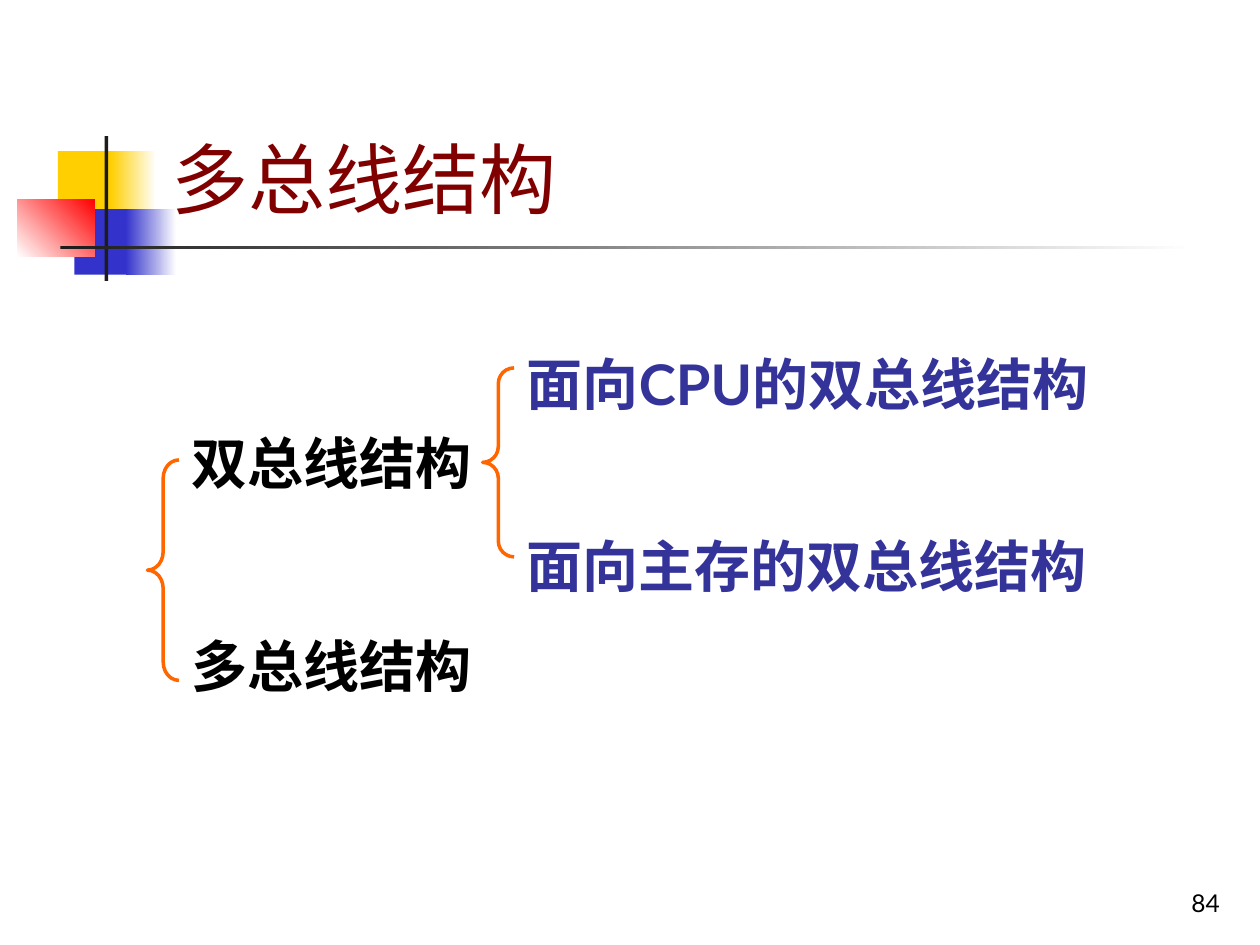
from lxml import etree
from pptx import Presentation
from pptx.dml.color import RGBColor
from pptx.enum.shapes import MSO_SHAPE
from pptx.enum.text import MSO_ANCHOR, MSO_AUTO_SIZE, PP_ALIGN
from pptx.oxml.ns import qn
from pptx.util import Inches, Pt

RECT, BRACE = MSO_SHAPE.RECTANGLE, MSO_SHAPE.LEFT_BRACE
TOP, BOTTOM = MSO_ANCHOR.TOP, MSO_ANCHOR.BOTTOM
LEFT, RIGHT = PP_ALIGN.LEFT, PP_ALIGN.RIGHT
NO_FIT = MSO_AUTO_SIZE.NONE

HEX = {
    "gold": "FFCF01", "blue": "3333CC", "red": "FF0000", "dark": "1C1C1C",
    "white": "FFFFFF", "maroon": "800000", "navy": "333399",
    "black": "000000", "orange": "FF6600",
}

TITLE = "多总线结构"
KINDS = ["双总线结构", "多总线结构"]
DUALS = ["面向CPU的双总线结构", "面向主存的双总线结构"]
PAGE = "84"

# place, colours (two make a gradient), gradient angle
DECOR = [
    ((0.46, 1.2, 0.48, 0.52), ["gold"], 0),
    ((0.88, 1.2, 0.36, 0.52), ["gold", "white"], 0),
    ((0.59, 1.66, 0.46, 0.52), ["blue"], 0),
    ((1, 1.66, 0.4, 0.52), ["blue", "white"], 0),
    ((0.14, 1.58, 0.61, 0.46), ["white", "red"], 45),
    ((0.83, 1.08, 0.03, 1.15), ["dark"], 0),
    ((0.48, 1.95, 9, 0.03), ["dark", "white"], 0),
]
# place, curl of the brace ends
BRACES = [((1.17, 3.65, 0.25, 1.75), 0.58), ((3.83, 2.92, 0.25, 1.5), 0.5)]


def color(name):
    return RGBColor.from_string(HEX[name])


def inches(place):
    return [Inches(n) for n in place]


def add_block(slide, place, names, angle):
    block = slide.shapes.add_shape(RECT, *inches(place))
    block.shadow.inherit = False
    block.line.fill.background()
    fill = block.fill
    if len(names) == 1:
        fill.solid()
        fill.fore_color.rgb = color(names[0])
        return
    fill.gradient()
    fill.gradient_angle = angle
    for stop, name in zip(fill.gradient_stops, names):
        stop.color.rgb = color(name)


def add_brace(slide, place, curl):
    brace = slide.shapes.add_shape(BRACE, *inches(place))
    brace.shadow.inherit = False
    brace.fill.background()
    brace.line.color.rgb = color("orange")
    brace.line.width = Pt(2)
    brace.adjustments[0] = curl


def write(box, place, lines, font, size, tint, bold=False, gap=0,
          align=LEFT, anchor=TOP, space=1.0):
    """Place a text shape and fill it, with gap points between its lines."""
    box.left, box.top, box.width, box.height = inches(place)
    frame = box.text_frame
    frame.text = "\n".join(lines)
    frame.word_wrap = True
    frame.auto_size = NO_FIT
    frame.vertical_anchor = anchor
    for i, para in enumerate(frame.paragraphs):
        props = para._p.get_or_add_pPr()
        props.set("marL", "0")
        props.set("indent", "0")
        etree.SubElement(props, qn("a:buNone"))
        para.alignment = align
        para.line_spacing = space
        para.space_before = Pt(gap if i else 0)
        for run in para.runs:
            run.font.name = font
            run.font.size = Pt(size)
            run.font.bold = bold
            run.font.color.rgb = color(tint)


def main():
    deck = Presentation()
    deck.slide_width, deck.slide_height = Inches(10), Inches(7.5)
    slide = deck.slides.add_slide(deck.slide_layouts[1])
    title, body = slide.placeholders

    for place, names, angle in DECOR:
        add_block(slide, place, names, angle)

    write(title, (1.26, 0.23, 8.52, 1.6), [TITLE], "Lato", 44, "maroon",
          anchor=BOTTOM)
    write(body, (4.08, 2.67, 5.5, 2.17), DUALS, "Lato", 32, "navy",
          bold=True, gap=62, space=1.1)

    place = (1.42, 3.35, 2.83, 2.26)
    kinds = slide.shapes.add_textbox(*inches(place))
    write(kinds, place, KINDS, "Times New Roman", 32, "black",
          bold=True, gap=78)

    place = (7.7, 6.83, 2.08, 0.5)
    page = slide.shapes.add_textbox(*inches(place))
    write(page, place, [PAGE], "Lato", 14, "black", align=RIGHT,
          anchor=BOTTOM)

    for place, curl in BRACES:
        add_brace(slide, place, curl)

    deck.save("out.pptx")


if __name__ == "__main__":
    main()
